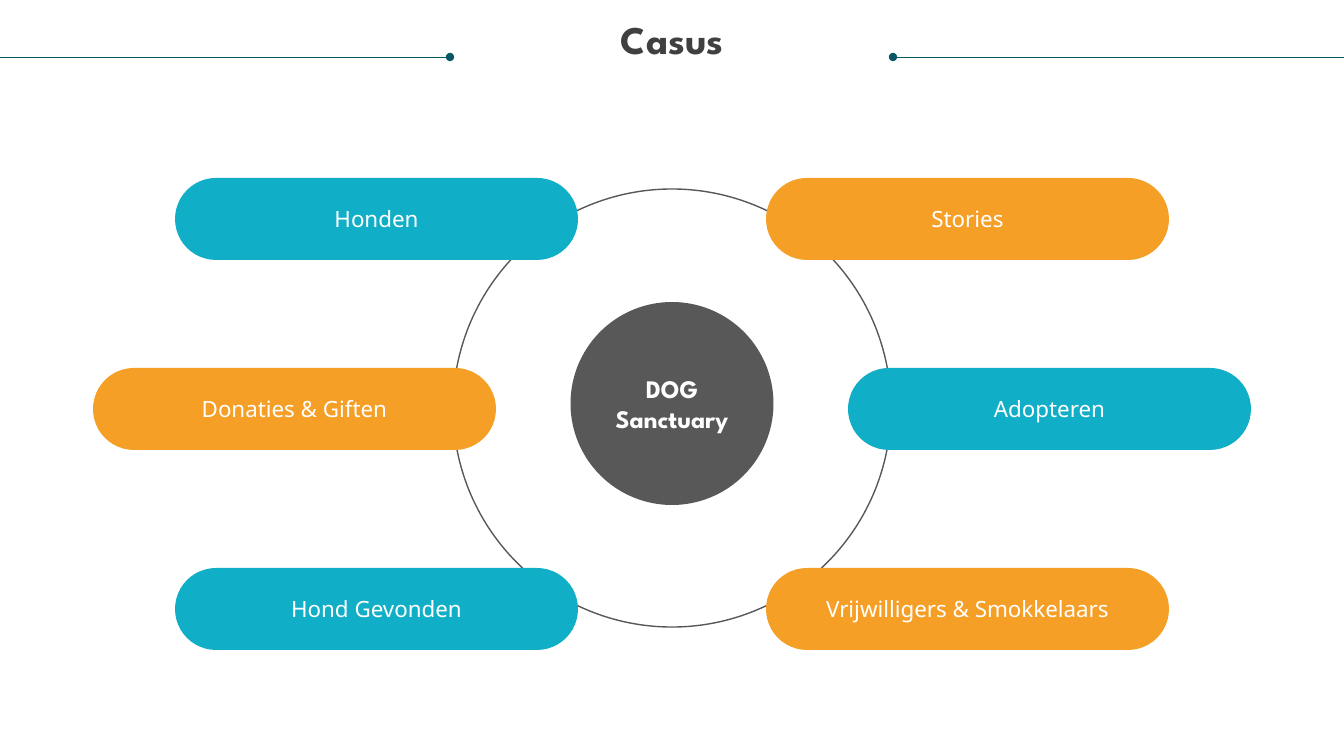
from pptx import Presentation
from pptx.dml.color import RGBColor
from pptx.enum.shapes import MSO_CONNECTOR, MSO_SHAPE
from pptx.enum.text import MSO_ANCHOR, MSO_AUTO_SIZE, PP_ALIGN
from pptx.oxml.ns import qn
from pptx.util import Pt
from lxml.etree import SubElement

SCALE = 914400 / 100.8
WIDE, HIGH = 1344, 756

WHITE = RGBColor(0xFF, 0xFF, 0xFF)
INK = RGBColor(0x40, 0x40, 0x40)
GREY = RGBColor(0x58, 0x58, 0x58)
TEAL = RGBColor(0x08, 0x57, 0x64)
BLUE = RGBColor(0x11, 0xAE, 0xC7)
GOLD = RGBColor(0xF5, 0x9F, 0x26)

HEAD = {"name": "League Spartan", "size": Pt(28), "bold": True}
HUB = {"name": "League Spartan", "size": Pt(18), "bold": True}
BODY = {"name": "Noto Sans", "size": Pt(16), "bold": False}

# Left label, right label, left edge of the left pill, top
ROWS = [
    ("Honden", "Stories", 175, 178),
    ("Donaties & Giften", "Adopteren", 93, 368),
    ("Hond Gevonden", "Vrijwilligers & Smokkelaars", 175, 568),
]
PILL_W, PILL_H = 403, 82


def emu(*vals):
    return [round(val * SCALE) for val in vals]


def write(frame, lines, font, color, **form):
    """Put centred lines in a text frame."""
    frame.word_wrap = True
    for key, val in form.items():
        setattr(frame, key, val)
    for num, line in enumerate(lines):
        para = frame.paragraphs[0] if num == 0 else frame.add_paragraph()
        para.alignment = PP_ALIGN.CENTER
        run = para.add_run()
        run.text = line
        for key, val in font.items():
            setattr(run.font, key, val)
        run.font.color.rgb = color


def add_form(slide, kind, box, fill=None, line=None):
    form = slide.shapes.add_shape(kind, *emu(*box))
    form.shadow.inherit = False
    if fill is None:
        form.fill.background()
    else:
        form.fill.solid()
        form.fill.fore_color.rgb = fill
    if line is None:
        form.line.fill.background()
    else:
        form.line.color.rgb = line
        form.line.width = Pt(1)
    return form


def add_rule(slide, start, end, top):
    """Draw a thin rule with a dot at its end."""
    rule = slide.shapes.add_connector(
        MSO_CONNECTOR.STRAIGHT, *emu(start, top, end, top))
    rule.line.color.rgb = TEAL
    rule.line.width = Pt(0.5)
    SubElement(rule.line._get_or_add_ln(), qn("a:tailEnd"), type="oval")
    SubElement(rule._element.spPr, qn("a:effectLst"))


def add_title(slide, box, text):
    left, top, width, height = box
    # Rules run in from both edges
    add_rule(slide, left, left + 450, top + 57)
    add_rule(slide, left + width, left + width - 451, top + 57)
    # Title
    label = slide.shapes.add_textbox(
        *emu(left + 25, top + 21, width - 50, height - 21))
    sides = ("left", "top", "right", "bottom")
    write(label.text_frame, [text], HEAD, INK,
          auto_size=MSO_AUTO_SIZE.SHAPE_TO_FIT_TEXT,
          **{"margin_" + side: 0 for side in sides})
    label.text_frame.paragraphs[0].line_spacing = 0.9


def add_wheel(slide, box):
    left, top, width, height = box
    mid = left + width / 2
    # Outer ring
    size = 438
    add_form(slide, MSO_SHAPE.OVAL, (mid - size / 2, top + 189, size, size),
             line=GREY)
    # Hub
    size = 203
    hub = add_form(slide, MSO_SHAPE.OVAL,
                   (mid - size / 2, top + 302, size, size), GREY)
    write(hub.text_frame, ["DOG", "Sanctuary"], HUB, WHITE,
          vertical_anchor=MSO_ANCHOR.MIDDLE)
    # Mirrored pills in alternating colours
    for num, (west, east, inset, drop) in enumerate(ROWS):
        pair = (BLUE, GOLD) if num % 2 == 0 else (GOLD, BLUE)
        edges = (left + inset, left + width - inset - PILL_W)
        for text, edge, fill in zip((west, east), edges, pair):
            pill = add_form(slide, MSO_SHAPE.ROUNDED_RECTANGLE,
                            (edge, top + drop, PILL_W, PILL_H), fill)
            pill.adjustments[0] = 0.5
            write(pill.text_frame, [text], BODY, WHITE,
                  vertical_anchor=MSO_ANCHOR.MIDDLE)


deck = Presentation()
deck.slide_width, deck.slide_height = emu(WIDE, HIGH)
page = deck.slides.add_slide(deck.slide_layouts[6])
add_title(page, (0, 0, WIDE, 63), "Casus")
add_wheel(page, (0, 0, WIDE, HIGH))
deck.save("out.pptx")
